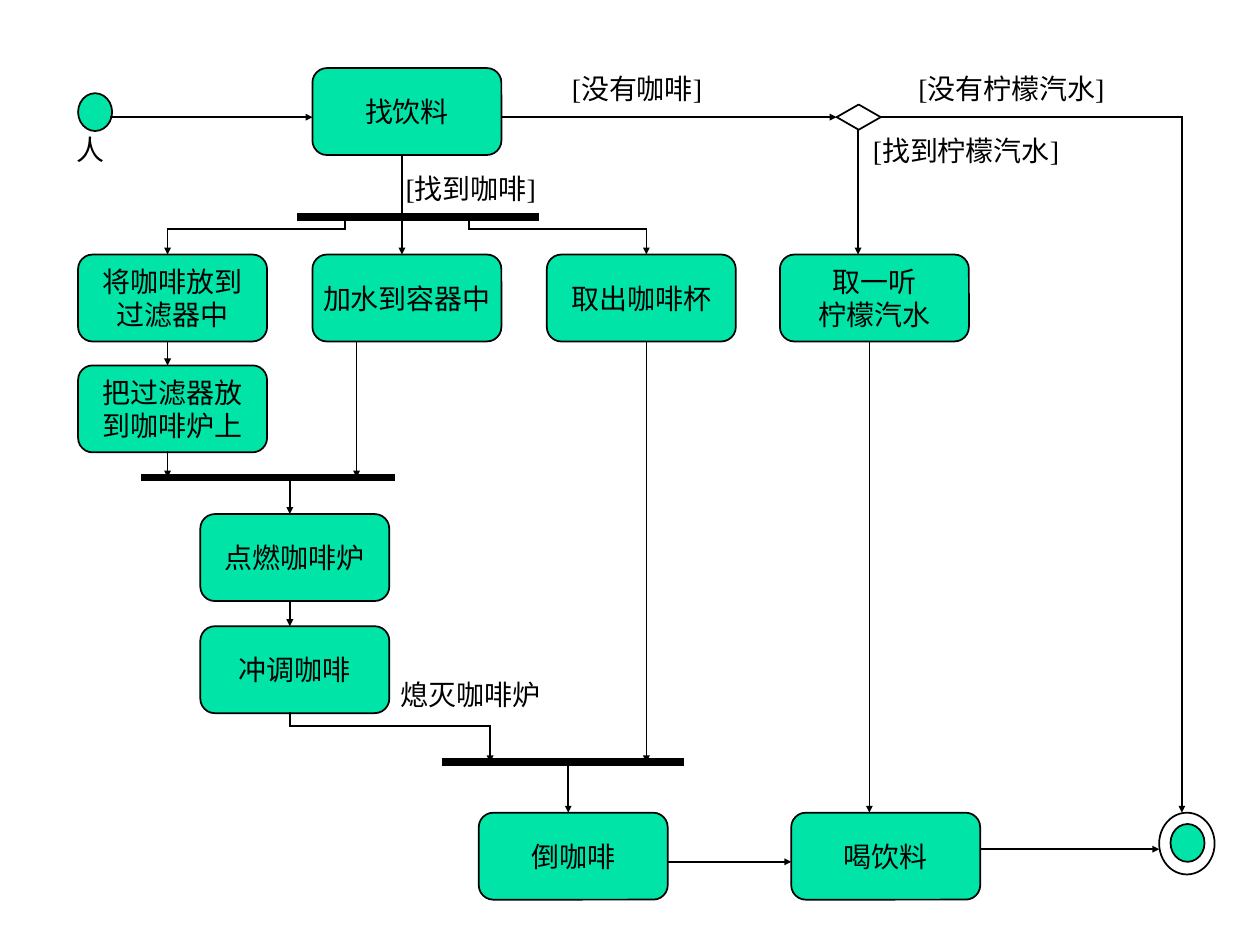
from itertools import pairwise

from lxml import etree
from pptx import Presentation
from pptx.dml.color import RGBColor
from pptx.enum.shapes import MSO_CONNECTOR as Connector, MSO_SHAPE as Shape
from pptx.enum.text import MSO_ANCHOR as Anchor, PP_ALIGN as Align
from pptx.oxml.ns import qn
from pptx.util import Inches, Pt

GREEN, BLACK, WHITE = "00E4A8", "000000", "FFFFFF"
FONT = {"name": "Times New Roman", "size": Pt(16)}
STATE_WIDTH, STATE_HEIGHT = 1.5, 0.69


def color(value):
    return RGBColor.from_string(value)


def write(page_shape, lines, align, wrap):
    frame = page_shape.text_frame
    frame.word_wrap = wrap
    for index, line in enumerate(lines):
        para = frame.paragraphs[0] if index == 0 else frame.add_paragraph()
        para.alignment = align
        span = para.add_run()
        span.text = line
        for name, value in FONT.items():
            setattr(span.font, name, value)
        span.font.color.rgb = color(BLACK)


deck = Presentation()
deck.slide_width, deck.slide_height = Inches(10), Inches(7.5)
page = deck.slides.add_slide(deck.slide_layouts[6])

# Activity states: left, top, lines
states = [
    (2.48, 0.54, ["找饮料"]),
    (0.62, 2.02, ["将咖啡放到", "过滤器中"]),
    (2.48, 2.02, ["加水到容器中"]),
    (4.34, 2.02, ["取出咖啡杯"]),
    (6.19, 2.02, ["取一听", "柠檬汽水"]),
    (0.62, 2.9, ["把过滤器放", "到咖啡炉上"]),
    (1.59, 4.08, ["点燃咖啡炉"]),
    (1.59, 4.97, ["冲调咖啡"]),
    (3.8, 6.45, ["倒咖啡"]),
    (6.28, 6.45, ["喝饮料"]),
]
nodes = [
    (Shape.FLOWCHART_ALTERNATE_PROCESS, left, top, STATE_WIDTH, STATE_HEIGHT, GREEN, lines)
    for left, top, lines in states
]

# Start, decision and end nodes
nodes += [
    (Shape.OVAL, 0.62, 0.74, 0.27, 0.3, GREEN, []),
    (Shape.DIAMOND, 6.64, 0.83, 0.35, 0.2, WHITE, []),
    (Shape.OVAL, 9.2, 6.45, 0.44, 0.49, WHITE, []),
    (Shape.OVAL, 9.29, 6.54, 0.27, 0.3, GREEN, []),
]
for kind, left, top, width, height, fill, lines in nodes:
    node = page.shapes.add_shape(kind, Inches(left), Inches(top), Inches(width), Inches(height))
    node.shadow.inherit = False
    node.fill.solid()
    node.fill.fore_color.rgb = color(fill)
    node.line.color.rgb = color(BLACK)
    node.line.width = Pt(1)
    node.text_frame.vertical_anchor = Anchor.MIDDLE
    write(node, lines, Align.CENTER, wrap=False)

# Fork and join bars, then flows that end in an arrowhead
bars = [
    [(2.39, 1.72), (4.25, 1.72)],
    [(1.15, 3.79), (3.1, 3.79)],
    [(3.54, 6.05), (5.4, 6.05)],
]
flows = [
    [(0.88, 0.93), (2.48, 0.93)],
    [(3.98, 0.93), (6.64, 0.93)],
    [(6.99, 0.93), (9.38, 0.93), (9.38, 6.45)],
    [(6.81, 1.03), (6.81, 2.02)],
    [(3.19, 1.23), (3.19, 2.02)],
    [(2.74, 1.72), (2.74, 1.82), (1.33, 1.82), (1.33, 2.02)],
    [(3.72, 1.72), (3.72, 1.82), (5.13, 1.82), (5.13, 2.02)],
    [(1.33, 2.71), (1.33, 2.9)],
    [(1.33, 3.59), (1.33, 3.79)],
    [(2.83, 2.71), (2.83, 3.79)],
    [(2.3, 3.79), (2.3, 4.08)],
    [(2.3, 4.77), (2.3, 4.97)],
    [(2.3, 5.66), (2.3, 5.76), (3.89, 5.76), (3.89, 6.05)],
    [(5.13, 2.71), (5.13, 6.05)],
    [(4.51, 6.05), (4.51, 6.45)],
    [(6.9, 2.71), (6.9, 6.45)],
    [(5.31, 6.84), (6.28, 6.84)],
    [(7.79, 6.74), (9.2, 6.74)],
]
routes = [(bar, 4.5, False) for bar in bars] + [(flow, 1, True) for flow in flows]
for points, weight, has_arrow in routes:
    for start, end in pairwise(points):
        line = page.shapes.add_connector(
            Connector.STRAIGHT, *(Inches(value) for value in start + end))
        line.line.color.rgb = color(BLACK)
        line.line.width = Pt(weight)
        stroke = line._element.spPr.find(qn("a:ln"))
        stroke.set("cap", "sq")
        if has_arrow and end == points[-1]:
            etree.SubElement(stroke, qn("a:tailEnd"), type="triangle", w="sm", len="sm")
        etree.SubElement(line._element.spPr, qn("a:effectLst"))

# Labels: left, top, width, text
labels = [
    (0.51, 1, 0.5, "人"),
    (4.44, 0.52, 1.45, "[没有咖啡]"),
    (7.19, 0.52, 1.9, "[没有柠檬汽水]"),
    (6.83, 1.01, 1.9, "[找到柠檬汽水]"),
    (3.12, 1.31, 1.45, "[找到咖啡]"),
    (3.08, 5.33, 1.45, "熄灭咖啡炉"),
]
for left, top, width, text in labels:
    box = page.shapes.add_textbox(Inches(left), Inches(top), Inches(width), Inches(0.37))
    write(box, [text], Align.LEFT, wrap=True)

deck.save("out.pptx")
